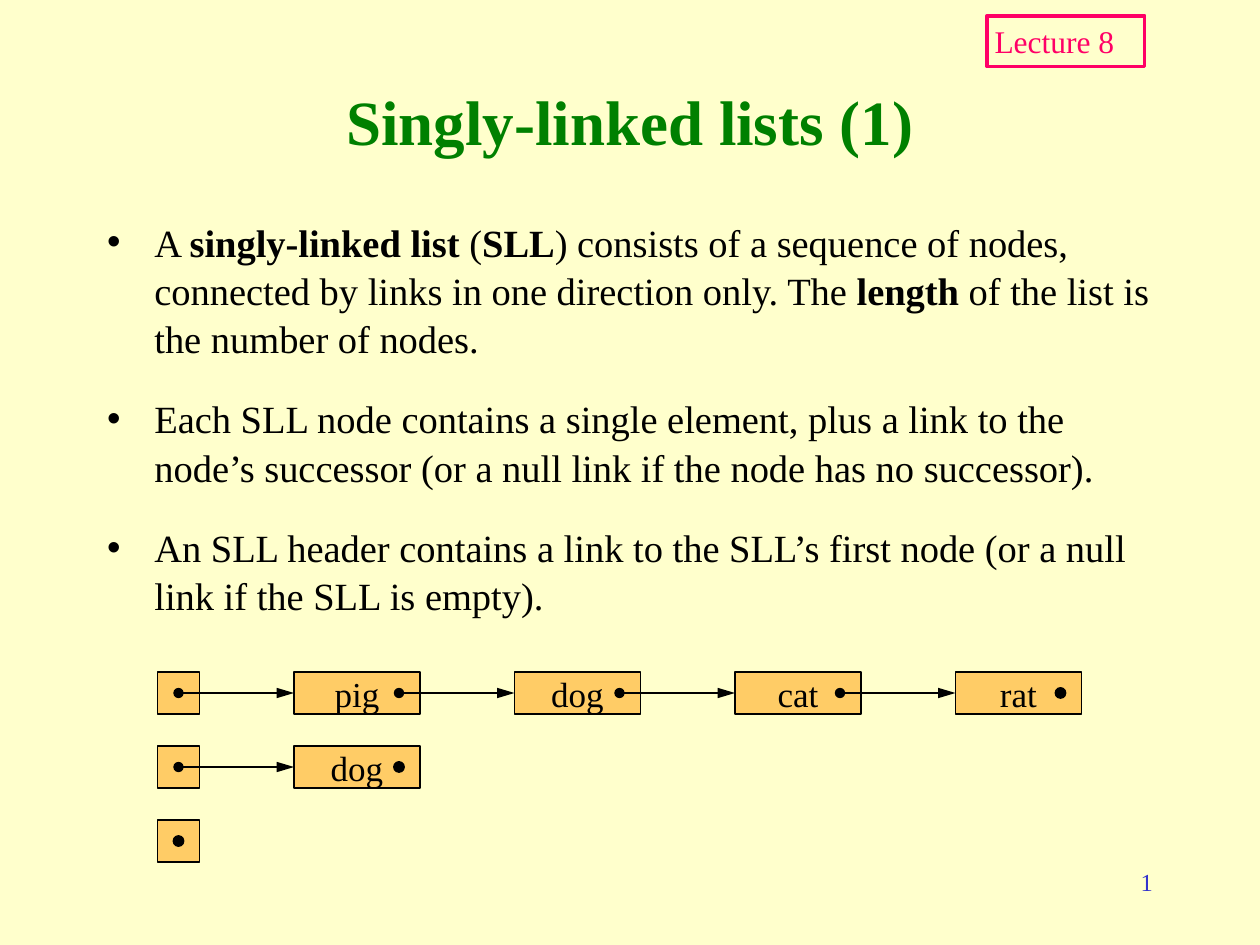
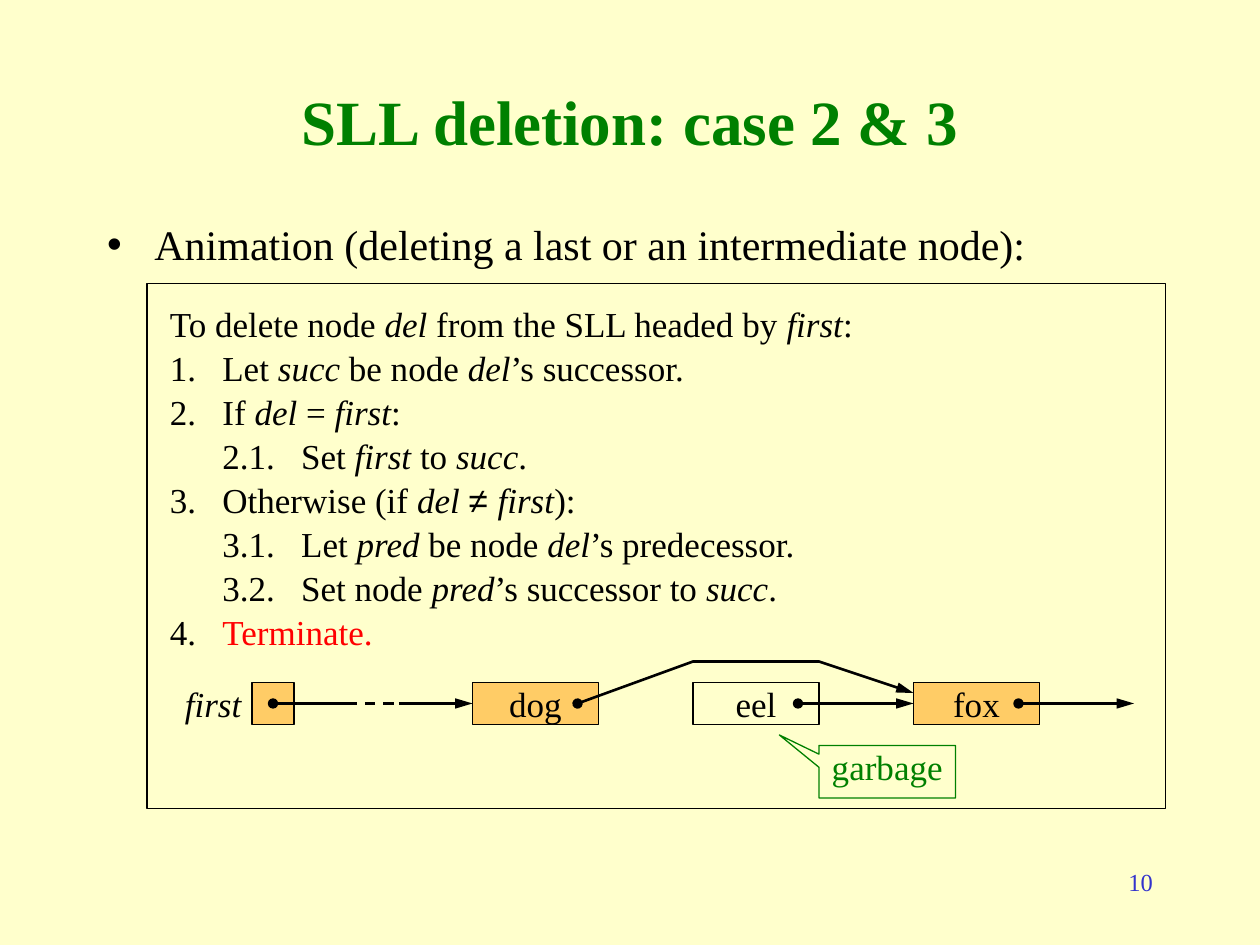
from lxml import etree
from pptx import Presentation
from pptx.dml.color import RGBColor
from pptx.enum.dml import MSO_LINE
from pptx.enum.shapes import MSO_CONNECTOR, MSO_SHAPE
from pptx.enum.text import MSO_ANCHOR, MSO_AUTO_SIZE, PP_ALIGN
from pptx.oxml.ns import qn
from pptx.util import Pt

RECTANGLE, OVAL = MSO_SHAPE.RECTANGLE, MSO_SHAPE.OVAL
CALLOUT = MSO_SHAPE.RECTANGULAR_CALLOUT
STRAIGHT, DASH = MSO_CONNECTOR.STRAIGHT, MSO_LINE.DASH
LEFT, CENTER, RIGHT = PP_ALIGN.LEFT, PP_ALIGN.CENTER, PP_ALIGN.RIGHT
TOP, MIDDLE = MSO_ANCHOR.TOP, MSO_ANCHOR.MIDDLE
NO_AUTOFIT = MSO_AUTO_SIZE.NONE

FONT, SYMBOL_FONT = "Times New Roman", "Arial"
PAPER, INK, NODE_FILL = "FFFFCC", "000000", "FFCC66"
GREEN, BLUE, PINK, RED = "008000", "3333CC", "FF0066", "FF0000"
NODE_WIDTH, NODE_HEIGHT, NODE_PITCH = 72, 24, 126
LINK_INSET, DOT_SIZE = 12, 6
LINE_SPACING = 1.05


def colour(value):
    return RGBColor.from_string(value)


def bold(text):
    return text, {"bold": True}


def italic(text):
    return text, {"italic": True}


def place(shape, left, top, width, height):
    shape.left, shape.top = Pt(left), Pt(top)
    shape.width, shape.height = Pt(width), Pt(height)


def add_runs(paragraph, pieces, size, value=INK):
    for piece in pieces:
        text, options = (piece, {}) if isinstance(piece, str) else piece
        run = paragraph.add_run()
        run.text = text
        font = run.font
        font.name = options.get("font", FONT)
        font.size = Pt(size)
        font.bold = options.get("bold", False)
        font.italic = options.get("italic", False)
        font.color.rgb = colour(options.get("colour", value))


def set_frame(shape, insets, anchor=TOP):
    frame = shape.text_frame
    frame.word_wrap = True
    frame.auto_size = NO_AUTOFIT
    frame.vertical_anchor = anchor
    frame.margin_left = frame.margin_right = Pt(insets[0])
    frame.margin_top = frame.margin_bottom = Pt(insets[1])
    return frame


def set_text(shape, pieces, size, value=INK, align=CENTER, insets=(0, 0), anchor=TOP):
    paragraph = set_frame(shape, insets, anchor).paragraphs[0]
    paragraph.alignment = align
    add_runs(paragraph, pieces, size, value)


def add_box(shapes, kind, left, top, width, height, fill=None, line=INK, weight=0.75):
    shape = shapes.add_shape(kind, Pt(left), Pt(top), Pt(width), Pt(height))
    shape.shadow.inherit = False
    if fill:
        shape.fill.solid()
        shape.fill.fore_color.rgb = colour(fill)
    else:
        shape.fill.background()
    shape.line.color.rgb = colour(line)
    shape.line.width = Pt(weight)
    return shape


def style_link(shape, dot, arrow, dash=None):
    shape.line.color.rgb = colour(INK)
    shape.line.width = Pt(1.5)
    if dash:
        shape.line.dash_style = dash
    line = shape.element.spPr.find(qn("a:ln"))
    if dot:
        etree.SubElement(line, qn("a:headEnd"), type="oval")
    if arrow:
        etree.SubElement(line, qn("a:tailEnd"), type="triangle", len="lg")


def add_link(shapes, start, end, y, dot=True, arrow=True, dash=None):
    link = shapes.add_connector(STRAIGHT, Pt(start), Pt(y), Pt(end), Pt(y))
    style_link(link, dot, arrow, dash)
    etree.SubElement(link.element.spPr, qn("a:effectLst"))


def add_null_link(shapes, x, y):
    add_box(shapes, OVAL, x - DOT_SIZE / 2, y - DOT_SIZE / 2,
            DOT_SIZE, DOT_SIZE, INK)


def add_header(shapes, left, top):
    add_box(shapes, RECTANGLE, left, top, NODE_HEIGHT, NODE_HEIGHT, NODE_FILL)


def add_node(shapes, left, top, element, fill=NODE_FILL):
    node = add_box(shapes, RECTANGLE, left, top, NODE_WIDTH, NODE_HEIGHT, fill)
    set_text(node, [element], 20)


def add_list(slide, left, top, elements):
    shapes = slide.shapes.add_group_shape().shapes
    middle = top + NODE_HEIGHT / 2
    first_node = left + 78
    add_header(shapes, left, top)
    link_start = left + LINK_INSET
    for index, element in enumerate(elements):
        node_left = first_node + index * NODE_PITCH
        add_node(shapes, node_left, top, element)
        add_link(shapes, link_start, node_left, middle)
        link_start = node_left + NODE_WIDTH - LINK_INSET
    add_null_link(shapes, link_start, middle)


def add_text_box(shapes, left, top, width, height):
    return shapes.add_textbox(Pt(left), Pt(top), Pt(width), Pt(height))


def add_base_slide(presentation, title, number, bullets, size):
    slide = presentation.slides.add_slide(presentation.slide_layouts[1])
    heading = slide.shapes.title
    place(heading, 54, 42, 612, 54)
    set_text(heading, [bold(title)], 36, GREEN, insets=(7.2, 3.6), anchor=MIDDLE)

    body = slide.placeholders[1]
    place(body, 54, 120, 612, 366)
    frame = set_frame(body, (7.2, 3.6))
    for index, pieces in enumerate(bullets):
        paragraph = frame.add_paragraph() if index else frame.paragraphs[0]
        paragraph.space_before = Pt(18 if index else 0)
        paragraph.line_spacing = LINE_SPACING
        paragraph.font.size = Pt(size)
        add_runs(paragraph, pieces, size)

    page = add_text_box(slide.shapes, 516, 492, 150, 36)
    set_text(page, [number], 14, BLUE, RIGHT, (7.2, 3.6))
    return slide


def add_algorithm(shapes, left, top):
    del_, first, succ, pred = map(italic, ("del", "first", "succ", "pred"))
    steps = [
        ["To delete node ", del_, " from the SLL headed by ", first, ":"],
        ["1.\tLet ", succ, " be node ", del_, "’s successor."],
        ["2.\tIf ", del_, " = ", first, ":"],
        ["\t2.1.\tSet ", first, " to ", succ, "."],
        ["3.\tOtherwise (if ", italic("del "), ("≠ ", {"font": SYMBOL_FONT}), first, "):"],
        ["\t3.1.\tLet ", pred, " be node ", del_, "’s predecessor."],
        ["\t3.2.\tSet node ", pred, "’s successor to ", succ, "."],
        ["4.\t", ("Terminate.", {"colour": RED})],
    ]
    frame = set_frame(add_text_box(shapes, left, top, 492, 200), (7.2, 3.6))
    for index, pieces in enumerate(steps):
        paragraph = frame.add_paragraph() if index else frame.paragraphs[0]
        paragraph.line_spacing = LINE_SPACING
        tabs = etree.SubElement(paragraph._p.get_or_add_pPr(), qn("a:tabLst"))
        for position in (30, 75):
            etree.SubElement(tabs, qn("a:tab"), pos=str(Pt(position)), algn="l")
        add_runs(paragraph, pieces, 20)


def add_bypass(shapes, points):
    (start_x, start_y), *rest = [(Pt(x), Pt(y)) for x, y in points]
    builder = shapes.build_freeform(start_x, start_y)
    builder.add_line_segments(rest, close=False)
    bypass = builder.convert_to_shape()
    bypass.shadow.inherit = False
    bypass.fill.background()
    style_link(bypass, True, True)


def add_deletion_panel(slide, left, top):
    shapes = slide.shapes.add_group_shape().shapes
    add_box(shapes, RECTANGLE, left, top, 582, 300, PAPER)
    add_algorithm(shapes, left + 6, top + 6)

    row = top + 228
    middle = row + NODE_HEIGHT / 2
    header = left + 60
    dog, eel, fox = [left + 186 + index * NODE_PITCH for index in range(3)]
    link_offset = NODE_WIDTH - LINK_INSET

    label = add_text_box(shapes, left + 6, row, 48, NODE_HEIGHT)
    set_text(label, [italic("first")], 20, align=RIGHT)
    add_header(shapes, header, row)
    add_node(shapes, dog, row, "dog")
    add_node(shapes, eel, row, "eel", None)
    add_node(shapes, fox, row, "fox")

    gap_start, gap_end = dog - 72, dog - 42
    add_link(shapes, header + LINK_INSET, gap_start, middle, arrow=False)
    add_link(shapes, gap_start, gap_end, middle, dot=False, arrow=False, dash=DASH)
    add_link(shapes, gap_end, dog, middle, dot=False)
    for node in (eel, fox):
        add_link(shapes, node + link_offset, node + NODE_PITCH, middle)
    add_bypass(shapes, [(dog + link_offset, middle), (eel, row - 12),
                        (eel + NODE_WIDTH, row - 12), (fox, row + 6)])

    garbage = add_box(shapes, CALLOUT, eel + NODE_WIDTH, row + 36, 78, 30, line=GREEN)
    garbage.adjustments[0], garbage.adjustments[1] = -0.79, -0.7
    set_text(garbage, ["garbage"], 20, GREEN, insets=(3, 0))


def build_lists_slide(presentation):
    bullets = [
        ["A ", bold("singly-linked list"), " (", bold("SLL"),
         ") consists of a sequence of nodes, connected by links in one direction only. The ",
         bold("length"), " of the list is the number of nodes."],
        ["Each SLL node contains a single element, plus a link to the node’s successor "
         "(or a null link if the node has no successor)."],
        ["An SLL header contains a link to the SLL’s first node "
         "(or a null link if the SLL is empty)."],
    ]
    slide = add_base_slide(presentation, "Singly-linked lists (1)", "1", bullets, 22)
    examples = [["pig", "dog", "cat", "rat"], ["dog"], []]
    for index, elements in enumerate(examples):
        add_list(slide, 90, 384 + index * 42.3, elements)
    lecture = add_box(slide.shapes, RECTANGLE, 564, 9, 90, 29, line=PINK, weight=2.25)
    set_text(lecture, ["Lecture 8"], 18, PINK, LEFT, (4.3, 3.6))


def build_deletion_slide(presentation):
    bullets = [["Animation (deleting a last or an intermediate node):"]]
    slide = add_base_slide(presentation, "SLL deletion: case 2 & 3", "10", bullets, 24)
    add_deletion_panel(slide, 84, 162)


def main():
    presentation = Presentation()
    presentation.slide_width, presentation.slide_height = Pt(720), Pt(540)
    background = presentation.slide_master.background.fill
    background.solid()
    background.fore_color.rgb = colour(PAPER)
    build_lists_slide(presentation)
    build_deletion_slide(presentation)
    presentation.save("out.pptx")


if __name__ == "__main__":
    main()
